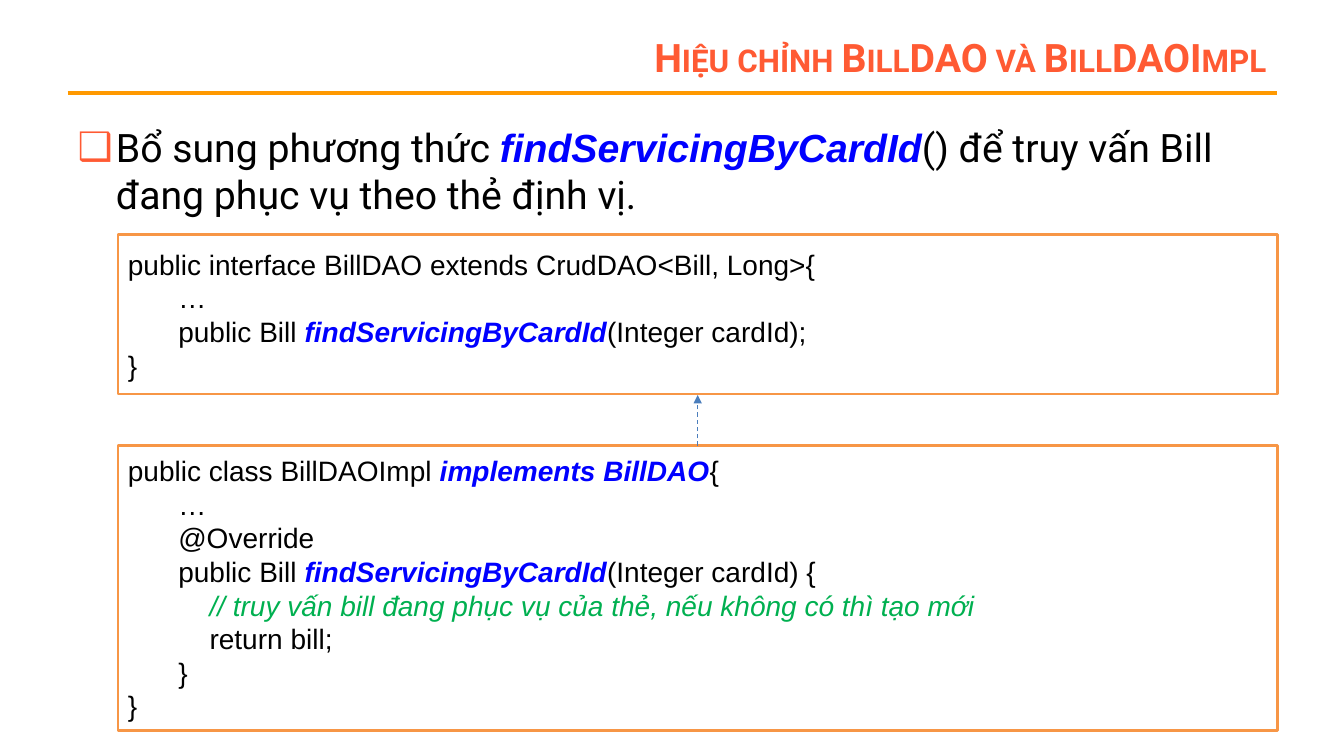
from lxml import etree
from pptx import Presentation
from pptx.dml.color import RGBColor
from pptx.enum.dml import MSO_LINE
from pptx.enum.shapes import MSO_CONNECTOR, MSO_SHAPE
from pptx.enum.text import MSO_ANCHOR, MSO_AUTO_SIZE, PP_ALIGN
from pptx.oxml.ns import qn
from pptx.util import Inches, Pt

STRAIGHT = MSO_CONNECTOR.STRAIGHT
RECTANGLE = MSO_SHAPE.RECTANGLE
MIDDLE, TOP = MSO_ANCHOR.MIDDLE, MSO_ANCHOR.TOP
LEFT, RIGHT = PP_ALIGN.LEFT, PP_ALIGN.RIGHT
DASH = MSO_LINE.DASH
NO_AUTOFIT = MSO_AUTO_SIZE.NONE

COLORS = {
    "title": "FF5A33",
    "rule": "FF9900",
    "text": "000000",
    "keyword": "0000FF",
    "comment": "00B050",
    "box_fill": "FFFFFF",
    "box_line": "F79646",
    "arrow": "4B7EBC",
}
METHOD = "findServicingByCardId"
KEYWORD = {"font": "Arial", "color": "keyword", "bold": True, "italic": True}
COMMENT = {"color": "comment", "italic": True}
MEMBER, STATEMENT = 0.5, 0.81  # code indents in inches

INTERFACE_CODE = [
    (0, [("public interface BillDAO extends CrudDAO<Bill, Long>{", {})]),
    (MEMBER, [("…", {})]),
    (MEMBER, [("public Bill ", {}), (METHOD, KEYWORD), ("(Integer cardId);", {})]),
    (0, [("}", {})]),
]
CLASS_CODE = [
    (0, [("public class BillDAOImpl ", {}), ("implements BillDAO", KEYWORD), ("{", {})]),
    (MEMBER, [("…", {})]),
    (MEMBER, [("@Override", {})]),
    (MEMBER, [("public Bill ", {}), (METHOD, KEYWORD), ("(Integer cardId) {", {})]),
    (STATEMENT, [("// truy vấn bill đang phục vụ của thẻ, nếu không có thì tạo mới", COMMENT)]),
    (STATEMENT, [("return bill;", {})]),
    (MEMBER, [("}", {})]),
    (0, [("}", {})]),
]


def rgb(name):
    return RGBColor.from_string(COLORS[name])


def add_span(para, text, size=20, font="Arial", color="text", bold=False, italic=False):
    span = para.add_run()
    span.text = text
    span.font.size = Pt(size)
    span.font.name = font
    span.font.bold = bold
    span.font.italic = italic
    span.font.color.rgb = rgb(color)
    return span


def set_indent(para, left, first=0):
    properties = para._p.get_or_add_pPr()
    properties.set("marL", str(Inches(left)))
    properties.set("indent", str(Inches(first)))
    return properties


def place(shape, left, top, width, height, anchor):
    shape.left, shape.top = Inches(left), Inches(top)
    shape.width, shape.height = Inches(width), Inches(height)
    frame = shape.text_frame
    frame.auto_size = NO_AUTOFIT
    frame.word_wrap = True
    frame.vertical_anchor = anchor
    return frame.paragraphs[0]


def fill_title(title):
    para = place(title, 2.44, 0.3, 10.22, 0.53, MIDDLE)
    para.alignment = RIGHT
    span = add_span(para, "Hiệu chỉnh BillDAO và BillDAOImpl",
                    size=28, font="Roboto", color="title", bold=True)
    span.font._element.set("cap", "small")


def fill_body(body):
    para = place(body, 0.67, 1.17, 12, 1.17, TOP)
    properties = set_indent(para, 0.38, -0.38)
    bullet_color = etree.SubElement(properties, qn("a:buClr"))
    etree.SubElement(bullet_color, qn("a:srgbClr"), val=COLORS["title"])
    etree.SubElement(properties, qn("a:buChar"), char="❑")
    add_span(para, "Bổ sung phương thức ", size=28, font="Roboto")
    add_span(para, METHOD, size=28, **KEYWORD)
    add_span(para, "() để truy vấn Bill đang phục vụ theo thẻ định vị.",
             size=28, font="Roboto")


def add_code_box(page, left, top, width, height, code):
    box = page.shapes.add_shape(RECTANGLE, Inches(left), Inches(top),
                                Inches(width), Inches(height))
    box.shadow.inherit = False
    box.fill.solid()
    box.fill.fore_color.rgb = rgb("box_fill")
    box.line.color.rgb = rgb("box_line")
    box.line.width = Pt(2)
    para = place(box, left, top, width, height, MIDDLE)
    for number, (indent, spans) in enumerate(code):
        if number:
            para = box.text_frame.add_paragraph()
        para.alignment = LEFT
        set_indent(para, indent)
        for text, style in spans:
            add_span(para, text, **style)


def add_line(page, start, end, color, width):
    line = page.shapes.add_connector(STRAIGHT, *map(Inches, start + end))
    line.line.color.rgb = rgb(color)
    line.line.width = Pt(width)
    etree.SubElement(line._element.spPr, qn("a:effectLst"))
    return line


def add_dashed_arrow(page, start, end):
    arrow = add_line(page, start, end, "arrow", 0.75)
    arrow.line.dash_style = DASH
    etree.SubElement(arrow.line._get_or_add_ln(), qn("a:tailEnd"), type="triangle")


def main():
    deck = Presentation()
    deck.slide_width, deck.slide_height = Inches(13.33), Inches(7.5)
    page = deck.slides.add_slide(deck.slide_layouts[1])
    add_line(page, (0.67, 0.92), (12.67, 0.92), "rule", 3)
    fill_title(page.shapes.title)
    fill_body(page.placeholders[1])
    add_code_box(page, 1.17, 2.33, 11.5, 1.58, INTERFACE_CODE)
    add_code_box(page, 1.17, 4.42, 11.5, 2.83, CLASS_CODE)
    add_dashed_arrow(page, (6.92, 4.42), (6.92, 3.92))
    deck.save("out.pptx")


if __name__ == "__main__":
    main()
